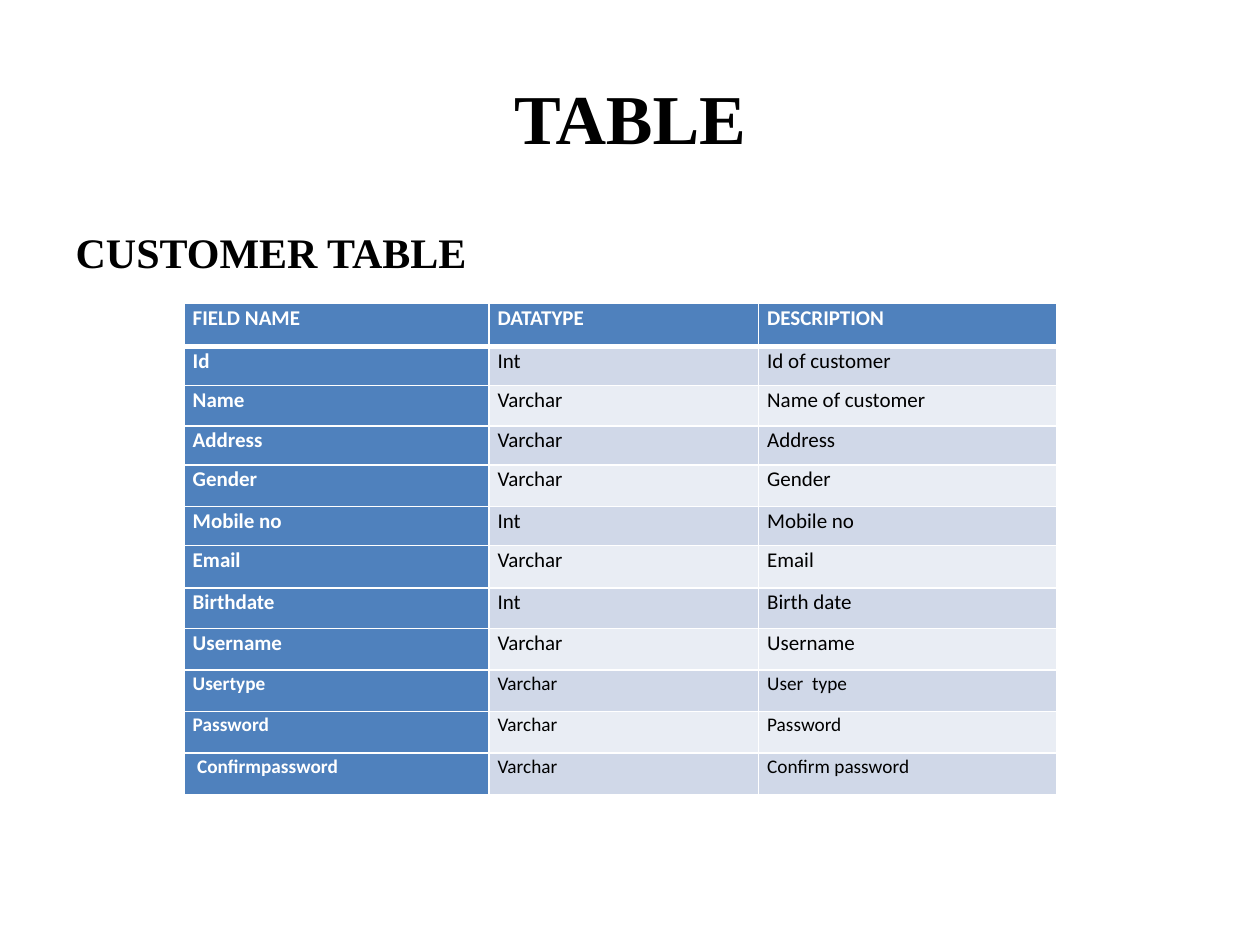
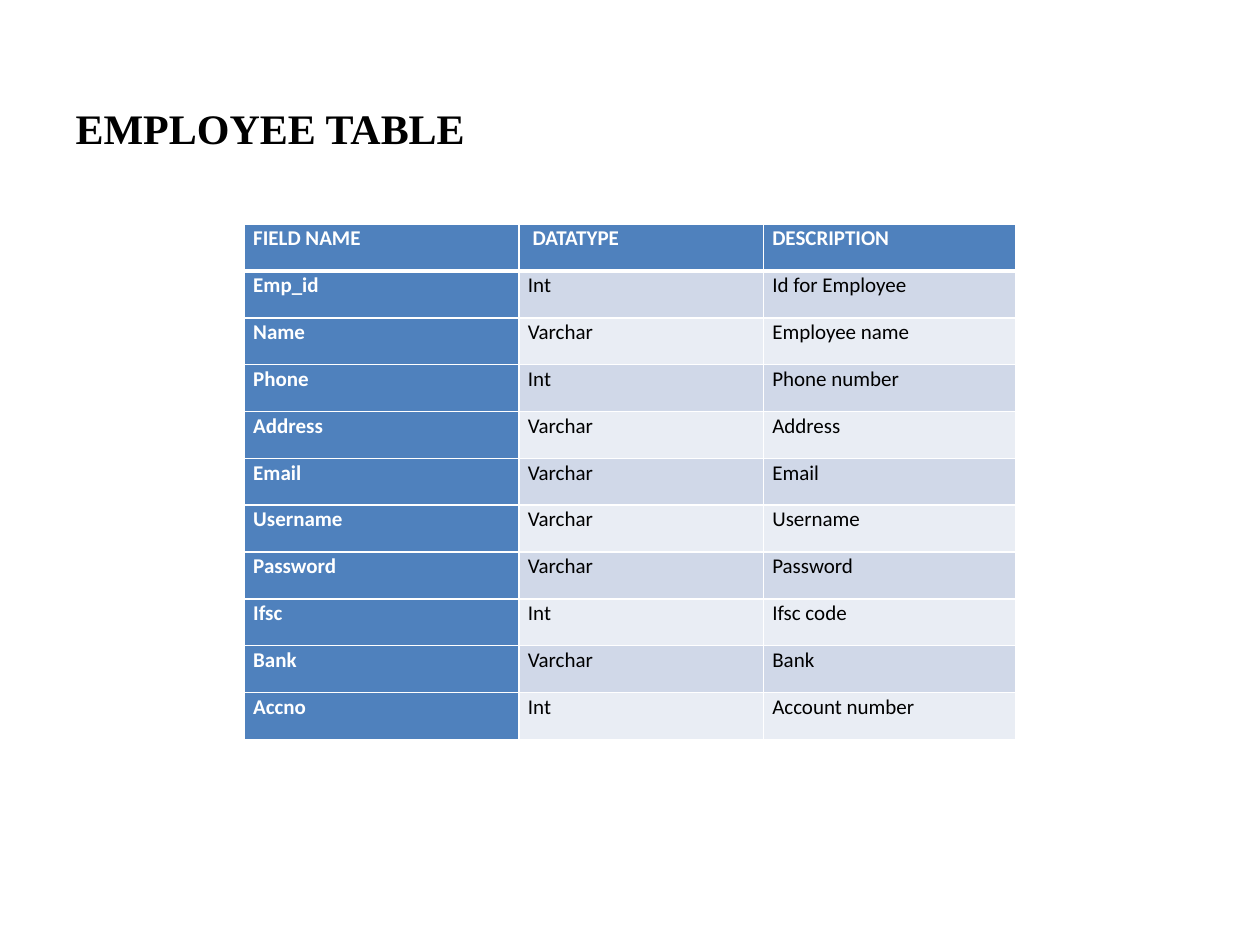
from lxml import etree
from pptx import Presentation
from pptx.dml.color import RGBColor
from pptx.enum.text import MSO_ANCHOR, PP_ALIGN
from pptx.oxml.ns import qn
from pptx.util import Inches, Pt

CENTER, LEFT = PP_ALIGN.CENTER, PP_ALIGN.LEFT
TOP, MIDDLE = MSO_ANCHOR.TOP, MSO_ANCHOR.MIDDLE

# Shared look
WIDTH, HEIGHT = 10, 7.5
TITLE_AND_CONTENT = 1
MARGIN = 0.5
BLACK, WHITE = "000000", "FFFFFF"
ACCENT = "4F81BD"
BANDS = ("D0D8E8", "E9EDF4")
HEADING_FONT, TABLE_FONT = "Times New Roman", "Calibri"
THIN, THICK = 1, 3
CELL_MARGINS = {
    "margin_left": Inches(0.07), "margin_right": Inches(0.07),
    "margin_top": 0, "margin_bottom": 0, "vertical_anchor": TOP,
}
CELL_PARAGRAPH = {"line_spacing": 1.07, "space_after": Pt(8), "alignment": LEFT}

# Table contents
CUSTOMER_ROWS = [
    ("FIELD NAME", "DATATYPE", "DESCRIPTION"),
    ("Id", "Int", "Id of customer"),
    ("Name", "Varchar", "Name of customer"),
    ("Address", "Varchar", "Address"),
    ("Gender", "Varchar", "Gender"),
    ("Mobile no", "Int", "Mobile no"),
    ("Email", "Varchar", "Email"),
    ("Birthdate", "Int", "Birth date"),
    ("Username", "Varchar", "Username"),
    ("Usertype", "Varchar", "User  type"),
    ("Password", "Varchar", "Password"),
    (" Confirmpassword", "Varchar", "Confirm password"),
]
CUSTOMER_HEIGHTS = [0.34, 0.31, 0.32, 0.31, 0.33, 0.31, 0.34, 0.32] + [0.33] * 4
CUSTOMER_SIZES = [12] * 9 + [11] * 3
EMPLOYEE_ROWS = [
    ("FIELD NAME", " DATATYPE", "DESCRIPTION"),
    ("Emp_id", "Int", "Id for Employee"),
    ("Name", "Varchar", "Employee name"),
    ("Phone", "Int", "Phone number"),
    ("Address", "Varchar", "Address"),
    ("Email", "Varchar", "Email"),
    ("Username", "Varchar", "Username"),
    ("Password", "Varchar", "Password"),
    ("Ifsc", "Int", "Ifsc code"),
    ("Bank", "Varchar", "Bank"),
    ("Accno", "Int", "Account number"),
]


def color(value):
    return RGBColor.from_string(value)


def apply(target, values):
    for name, value in values.items():
        setattr(target, name, value)


def write(para, text, size, font, ink, bold):
    span = para.add_run()
    span.text = text
    apply(span.font, {"size": Pt(size), "name": font, "bold": bold})
    span.font.color.rgb = color(ink)


def fill_placeholder(box, text, top, bottom, size, alignment, anchor):
    """Place a full-width placeholder between two heights and write one line."""
    apply(box, {
        "left": Inches(MARGIN), "top": Inches(top),
        "width": Inches(WIDTH - 2 * MARGIN), "height": Inches(bottom - top),
    })
    box.text_frame.vertical_anchor = anchor
    para = box.text_frame.paragraphs[0]
    para.alignment = alignment
    write(para, text, size, HEADING_FONT, BLACK, True)
    return para


def add_title(page, text):
    fill_placeholder(page.shapes.title, text, 0.3, 1.55, 40, CENTER, MIDDLE)


def add_heading(page, text, top):
    para = fill_placeholder(page.placeholders[1], text, top, 6.7, 24, LEFT, TOP)
    properties = para._p.get_or_add_pPr()
    properties.set("marL", "0")
    properties.set("indent", "0")
    etree.SubElement(properties, qn("a:buNone"))


def set_borders(cell, top, bottom):
    properties = cell._tc.get_or_add_tcPr()
    for side, points in (("L", THIN), ("R", THIN), ("T", top), ("B", bottom)):
        line = etree.SubElement(properties, qn(f"a:ln{side}"), w=str(Pt(points)))
        solid = etree.SubElement(line, qn("a:solidFill"))
        etree.SubElement(solid, qn("a:srgbClr"), val=WHITE)


def format_cell(cell, text, row, column, size):
    heading = row == 0 or column == 0
    set_borders(cell, THICK if row == 1 else THIN, THICK if row == 0 else THIN)
    cell.fill.solid()
    cell.fill.fore_color.rgb = color(ACCENT if heading else BANDS[(row - 1) % 2])
    apply(cell, CELL_MARGINS)
    para = cell.text_frame.paragraphs[0]
    apply(para, CELL_PARAGRAPH)
    write(para, text, size, TABLE_FONT, WHITE if heading else BLACK, heading)


def add_field_table(page, rows, left, top, widths, heights, sizes):
    frame = page.shapes.add_table(
        len(rows), len(widths), Inches(left), Inches(top),
        Inches(sum(widths)), Inches(sum(heights)))
    table = frame.table
    apply(table, {"first_row": True, "first_col": True, "horz_banding": True})
    for column, width in zip(table.columns, widths):
        column.width = Inches(width)
    for row, height in zip(table.rows, heights):
        row.height = Inches(height)
    for row, (texts, size) in enumerate(zip(rows, sizes)):
        for column, text in enumerate(texts):
            format_cell(table.cell(row, column), text, row, column, size)


def add_page(deck):
    page = deck.slides.add_slide(deck.slide_layouts[TITLE_AND_CONTENT])
    page.background.fill.solid()
    page.background.fill.fore_color.rgb = color(WHITE)
    return page


def main():
    deck = Presentation()
    apply(deck, {"slide_width": Inches(WIDTH), "slide_height": Inches(HEIGHT)})

    # Customer table
    page = add_page(deck)
    add_title(page, "TABLE")
    add_heading(page, "CUSTOMER TABLE", 1.75)
    add_field_table(page, CUSTOMER_ROWS, 1.46, 2.41, (2.42, 2.14, 2.37),
                    CUSTOMER_HEIGHTS, CUSTOMER_SIZES)

    # Employee table, without a title
    page = add_page(deck)
    title = page.shapes.title._element
    title.getparent().remove(title)
    add_heading(page, "EMPLOYEE TABLE", 0.76)
    count = len(EMPLOYEE_ROWS)
    add_field_table(page, EMPLOYEE_ROWS, 1.94, 1.78, (2.18, 1.94, 2),
                    [4.09 / count] * count, [12] * count)

    deck.save("out.pptx")


if __name__ == "__main__":
    main()
